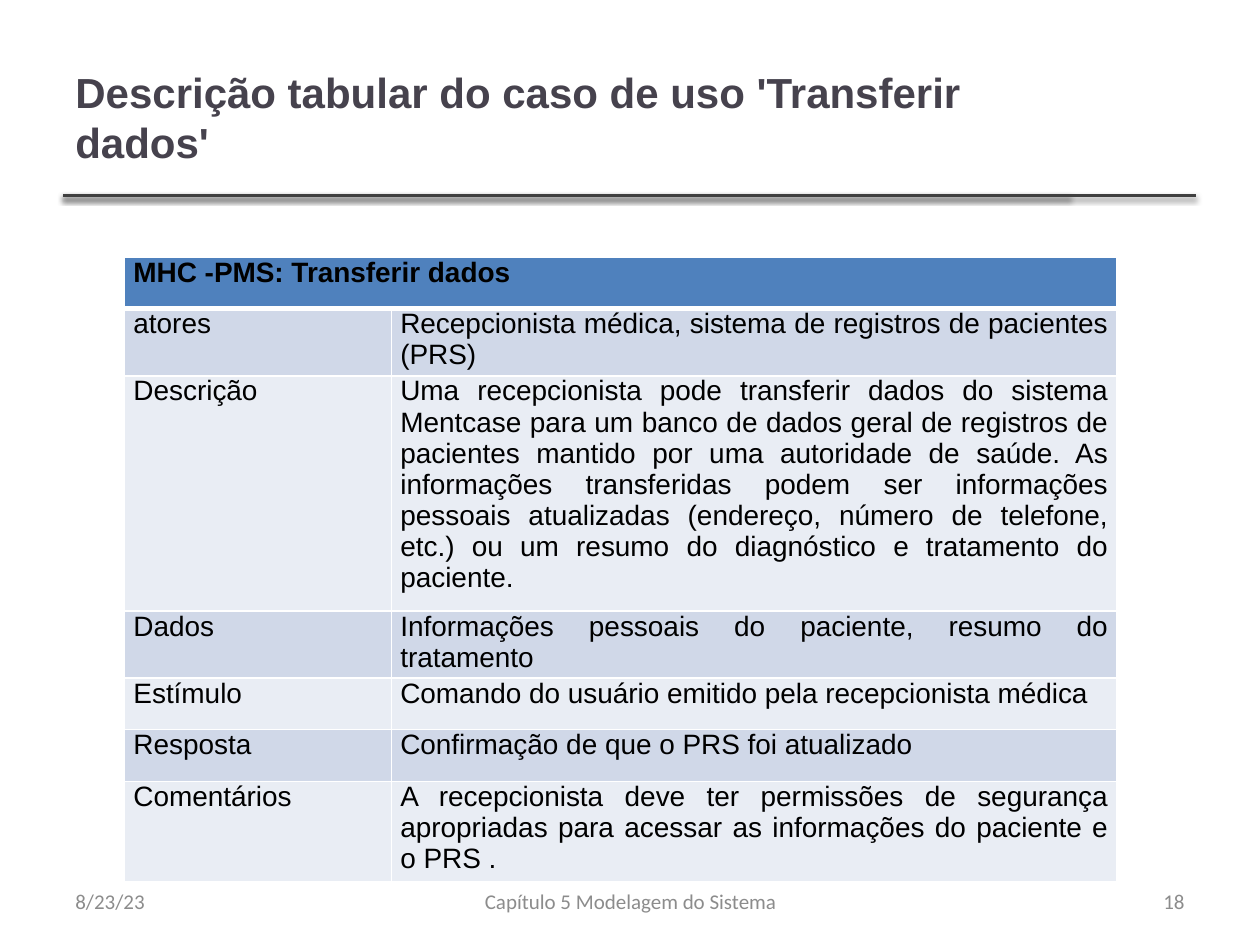
from dataclasses import dataclass

from pptx import Presentation
from pptx.dml.color import RGBColor
from pptx.enum.shapes import MSO_CONNECTOR as Connector
from pptx.enum.text import MSO_ANCHOR as Anchor, PP_ALIGN as Align
from pptx.oxml import parse_xml
from pptx.oxml.ns import nsdecls
from pptx.util import Cm, Pt

COLORS = {
    "title": "46424D",
    "footer": "8C8C8C",
    "rule": "404040",
    "shadow": "000000",
    "text": "000000",
    "header": "4F81BD",
    "odd": "D0D8E8",
    "even": "E9EDF4",
    "border": "FFFFFF",
}
COLUMN_WIDTHS = (5.38, 14.63)
ROW_HEIGHT = 1.04
HEADER = "MHC -PMS: Transferir dados"
ROWS = [
    ("atores", "Recepcionista médica, sistema de registros de pacientes (PRS)"),
    ("Descrição",
     "Uma recepcionista pode transferir dados do sistema Mentcase para um banco "
     "de dados geral de registros de pacientes mantido por uma autoridade de "
     "saúde. As informações transferidas podem ser informações pessoais "
     "atualizadas (endereço, número de telefone, etc.) ou um resumo do "
     "diagnóstico e tratamento do paciente."),
    ("Dados", "Informações pessoais do paciente, resumo do tratamento"),
    ("Estímulo", "Comando do usuário emitido pela recepcionista médica"),
    ("Resposta", "Confirmação de que o PRS foi atualizado"),
    ("Comentários",
     "A recepcionista deve ter permissões de segurança apropriadas para acessar "
     "as informações do paciente e o PRS ."),
]


@dataclass
class Label:
    text: str
    left: float
    top: float
    width: float
    height: float
    size: int = 12
    font: str = "Calibri"
    color: str = "footer"
    bold: bool = False
    align: Align = Align.LEFT


LABELS = [
    Label("Descrição tabular do caso de uso 'Transferir dados'",
          1.27, 0.76, 20.27, 3.18, 24, "Arial", "title", True),
    Label("8/23/23", 1.27, 17.65, 5.92, 1.02),
    Label("Capítulo 5 Modelagem do Sistema", 8.69, 17.65, 8.05, 1.02,
          align=Align.CENTER),
    Label("18", 18.21, 17.65, 5.92, 1.02, align=Align.RIGHT),
]


def rgb(name: str) -> RGBColor:
    return RGBColor.from_string(COLORS[name])


def style_text(frame, size: int, font: str, color: str, bold: bool, align) -> None:
    for para in frame.paragraphs:
        para.alignment = align
        for span in para.runs:
            span.font.size = Pt(size)
            span.font.name = font
            span.font.bold = bold
            span.font.color.rgb = rgb(color)


def add_label(page, label: Label) -> None:
    box = page.shapes.add_textbox(
        Cm(label.left), Cm(label.top), Cm(label.width), Cm(label.height))
    frame = box.text_frame
    frame.word_wrap = True
    frame.vertical_anchor = Anchor.MIDDLE
    frame.text = label.text
    style_text(frame, label.size, label.font, label.color, label.bold, label.align)


def add_rule(page, right: float) -> None:
    top = Cm(3.94)
    rule = page.shapes.add_connector(
        Connector.STRAIGHT, Cm(1.27), top, Cm(right), top)
    rule.line.color.rgb = rgb("rule")
    rule.line.width = Pt(2)
    rule._element.spPr.append(parse_xml(
        f'<a:effectLst {nsdecls("a")}>'
        f'<a:outerShdw blurRad="{Pt(3.1)}" dist="{Pt(1.6)}" dir="5400000" '
        f'rotWithShape="0"><a:srgbClr val="{COLORS["shadow"]}">'
        '<a:alpha val="38000"/></a:srgbClr></a:outerShdw></a:effectLst>'))


def set_borders(cell, top: int, bottom: int) -> None:
    # Border elements stand before the fill
    widths = {"lnL": 1, "lnR": 1, "lnT": top, "lnB": bottom}
    for position, (side, width) in enumerate(widths.items()):
        cell._tc.get_or_add_tcPr().insert(position, parse_xml(
            f'<a:{side} {nsdecls("a")} w="{Pt(width)}"><a:solidFill>'
            f'<a:srgbClr val="{COLORS["border"]}"/></a:solidFill></a:{side}>'))


def fill_cell(cell, text: str, row: int) -> None:
    cell.margin_left = cell.margin_right = Cm(0.18)
    cell.margin_top = cell.margin_bottom = 0
    cell.text_frame.text = text
    style_text(cell.text_frame, 16, "Arial", "text", row == 0, Align.JUSTIFY)
    cell.fill.solid()
    band = "header" if row == 0 else "odd" if row % 2 else "even"
    cell.fill.fore_color.rgb = rgb(band)
    set_borders(cell, 3 if row == 1 else 1, 3 if row == 0 else 1)


def add_use_case_table(page) -> None:
    lines = [(HEADER, ""), *ROWS]
    table = page.shapes.add_table(
        len(lines), len(COLUMN_WIDTHS), Cm(2.51), Cm(5.18),
        Cm(sum(COLUMN_WIDTHS)), Cm(ROW_HEIGHT * len(lines))).table
    for column, width in zip(table.columns, COLUMN_WIDTHS):
        column.width = Cm(width)
    for row, texts in enumerate(lines):
        table.rows[row].height = Cm(ROW_HEIGHT)
        for column, text in enumerate(texts):
            fill_cell(table.cell(row, column), text, row)
    table.cell(0, 0).merge(table.cell(0, 1))


def main() -> None:
    deck = Presentation()
    deck.slide_width, deck.slide_height = Cm(25.4), Cm(19.05)
    page = deck.slides.add_slide(deck.slide_layouts[6])

    # Double rule under the title
    for right in (21.56, 24.1):
        add_rule(page, right)

    # Title and footer
    for label in LABELS:
        add_label(page, label)

    # Use case description
    add_use_case_table(page)
    deck.save("out.pptx")


if __name__ == "__main__":
    main()
